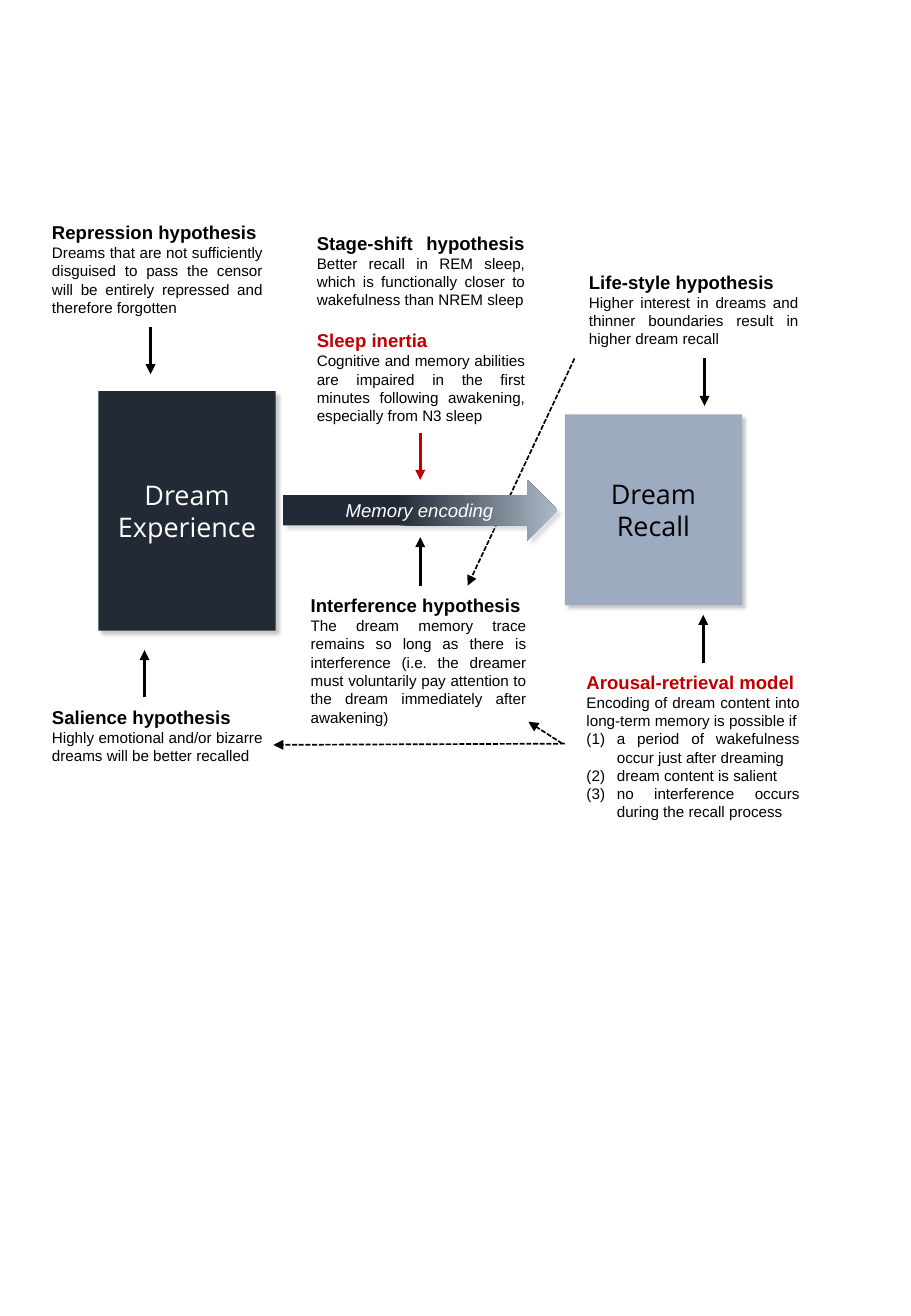
from lxml import etree
from pptx import Presentation
from pptx.dml.color import RGBColor
from pptx.enum.dml import MSO_LINE
from pptx.enum.shapes import MSO_CONNECTOR, MSO_SHAPE
from pptx.enum.text import MSO_ANCHOR, MSO_AUTO_SIZE, PP_ALIGN
from pptx.oxml.ns import qn
from pptx.util import Pt

PX = 9144
RECTANGLE, RIGHT_ARROW = MSO_SHAPE.RECTANGLE, MSO_SHAPE.RIGHT_ARROW
STRAIGHT = MSO_CONNECTOR.STRAIGHT
DASHED = MSO_LINE.SQUARE_DOT
CENTER, JUSTIFY = PP_ALIGN.CENTER, PP_ALIGN.JUSTIFY
MIDDLE = MSO_ANCHOR.MIDDLE
FIT_TEXT = MSO_AUTO_SIZE.SHAPE_TO_FIT_TEXT
BLACK, WHITE, RED, NAVY = "000000", "FFFFFF", "C00000", "222A35"

HYPOTHESES = [
    ((33, 576, 193, 74), [[("Salience hypothesis", BLACK)]],
     "Highly emotional and/or bizarre dreams will be better recalled", []),
    ((33, 177, 193, 89), [[("Repression hypothesis", BLACK)]],
     "Dreams that are not sufficiently disguised to pass the censor will be "
     "entirely repressed and therefore forgotten", []),
    ((251, 186, 191, 170),
     [[("Stage-shift hypothesis ", BLACK),
       ("Better recall in REM sleep, which is functionally closer to "
        "wakefulness than NREM sleep", None)],
      [("Sleep inertia", RED)]],
     "Cognitive and memory abilities are impaired in the first minutes "
     "following awakening, especially from N3 sleep", []),
    ((473, 547, 195, 135), [[("Arousal-retrieval model", RED)]],
     "Encoding of dream content into long-term memory is possible if",
     ["a period of wakefulness occur just after dreaming",
      "dream content is salient",
      "no interference occurs during the recall process"]),
    ((246, 484, 197, 119), [[("Interference hypothesis", BLACK)]],
     "The dream memory trace remains so long as there is interference (i.e. "
     "the dreamer must voluntarily pay attention to the dream immediately "
     "after awakening)", []),
    ((475, 218, 192, 74), [[("Life-style hypothesis", BLACK)]],
     "Higher interest in dreams and thinner boundaries result in higher "
     "dream recall", []),
]

SOLID_ARROWS = [
    (119, 574, 535, BLACK), (124, 269, 308, BLACK), (346, 356, 395, RED),
    (346, 482, 442, BLACK), (580, 295, 334, BLACK), (579, 546, 506, BLACK),
]


def color(value):
    """Turn a hex string into a colour."""
    return RGBColor.from_string(value)


def emu(*lengths):
    """Scale px lengths to EMU."""
    return [length * PX for length in lengths]


def add_run(paragraph, text, size, ink, font="Arial", bold=False, italic=False):
    """Append one styled run."""
    run = paragraph.add_run()
    run.text = text
    run.font.name, run.font.size = font, Pt(size)
    run.font.bold, run.font.italic = bold, italic
    run.font.color.rgb = color(ink)


def add_shadow(shape, ink):
    """Give a shape a soft shadow to the lower right."""
    shape.shadow.inherit = False
    effects = shape._element.spPr.find(qn("a:effectLst"))
    shadow = etree.SubElement(
        effects, qn("a:outerShdw"), blurRad=str(Pt(2)), dist=str(Pt(3)),
        dir="2700000", algn="tl", rotWithShape="0")
    shade = etree.SubElement(shadow, qn("a:srgbClr"), val=ink)
    etree.SubElement(shade, qn("a:alpha"), val="40000")


def add_text_box(slide, box):
    """Add a wrapping text box and return its frame."""
    frame = slide.shapes.add_textbox(*emu(*box)).text_frame
    frame.word_wrap = True
    frame.auto_size = FIT_TEXT
    return frame


def draw_stage(slide, box, label, fill, ink):
    """Draw one of the two large dream blocks."""
    shape = slide.shapes.add_shape(RECTANGLE, *emu(*box))
    shape.fill.solid()
    shape.fill.fore_color.rgb = color(fill)
    shape.line.fill.background()
    add_shadow(shape, "767171")
    frame = shape.text_frame
    frame.word_wrap = True
    frame.vertical_anchor = MIDDLE
    paragraph = frame.paragraphs[0]
    paragraph.alignment = CENTER
    add_run(paragraph, label, 16, ink, "Open Sans")


def draw_encoding_arrow(slide, box):
    """Draw the graded block arrow with its caption."""
    left, top, width, height = box
    shape = slide.shapes.add_shape(RIGHT_ARROW, *emu(*box))
    shape.fill.gradient()
    shape.fill.gradient_angle = 0
    stops = zip(shape.fill.gradient_stops, [(0.42, NAVY), (1, "ADB9CA")])
    for stop, (position, ink) in stops:
        stop.position = position
        stop.color.rgb = color(ink)
    shape.line.fill.background()
    add_shadow(shape, "AFABAB")
    frame = add_text_box(slide, (left - 1, top + 11, width + 1, height - 21))
    paragraph = frame.paragraphs[0]
    paragraph.alignment = CENTER
    add_run(paragraph, "Memory encoding", 11, WHITE, italic=True)


def draw_hypothesis(slide, box, headings, body, conditions):
    """Write headings, an explanation and any numbered conditions."""
    frame = add_text_box(slide, box)
    rows = headings + [[(text, None)] for text in [body] + conditions]
    first_condition = len(rows) - len(conditions)
    for index, row in enumerate(rows):
        paragraph = frame.add_paragraph() if index else frame.paragraphs[0]
        paragraph.alignment = JUSTIFY
        if len(row) > 1:
            paragraph.space_after = Pt(12)
        if index >= first_condition:
            properties = paragraph._p.get_or_add_pPr()
            properties.set("marL", str(25 * PX))
            properties.set("indent", str(-25 * PX))
            etree.SubElement(properties, qn("a:buAutoNum"), type="arabicParenBoth")
        for text, heading_ink in row:
            if heading_ink:
                add_run(paragraph, text, 11, heading_ink, bold=True)
            else:
                add_run(paragraph, text, 9, BLACK)


def draw_arrow(slide, ends, ink=BLACK, dashed=False):
    """Draw a thin arrow from the first point to the second."""
    connector = slide.shapes.add_connector(STRAIGHT, *emu(*ends))
    line = connector.line
    line.color.rgb = color(ink)
    line.width = Pt(1 if dashed else 1.5)
    if dashed:
        line.dash_style = DASHED
    properties = connector._element.spPr
    etree.SubElement(properties.find(qn("a:ln")), qn("a:tailEnd"), type="triangle")
    etree.SubElement(properties, qn("a:effectLst"))


def draw_dream_model(slide):
    """Place the whole diagram of dream recall hypotheses."""
    draw_arrow(slide, (473, 295, 385, 482), dashed=True)
    draw_encoding_arrow(slide, (233, 395, 226, 50))
    draw_stage(slide, (81, 322, 146, 197), "Dream Experience", NAVY, WHITE)
    draw_stage(slide, (465, 341, 146, 157), "Dream Recall", "9CABC0", BLACK)
    for hypothesis in HYPOTHESES:
        draw_hypothesis(slide, *hypothesis)
    for x, start, end, ink in SOLID_ARROWS:
        draw_arrow(slide, (x, start, x, end), ink)
    draw_arrow(slide, (463, 612, 435, 594), dashed=True)
    draw_arrow(slide, (465, 612, 225, 613), dashed=True)


def main():
    """Build and save the presentation."""
    presentation = Presentation()
    presentation.slide_width, presentation.slide_height = emu(750, 1083)
    slide = presentation.slides.add_slide(presentation.slide_layouts[6])
    draw_dream_model(slide)
    presentation.save("out.pptx")


if __name__ == "__main__":
    main()
